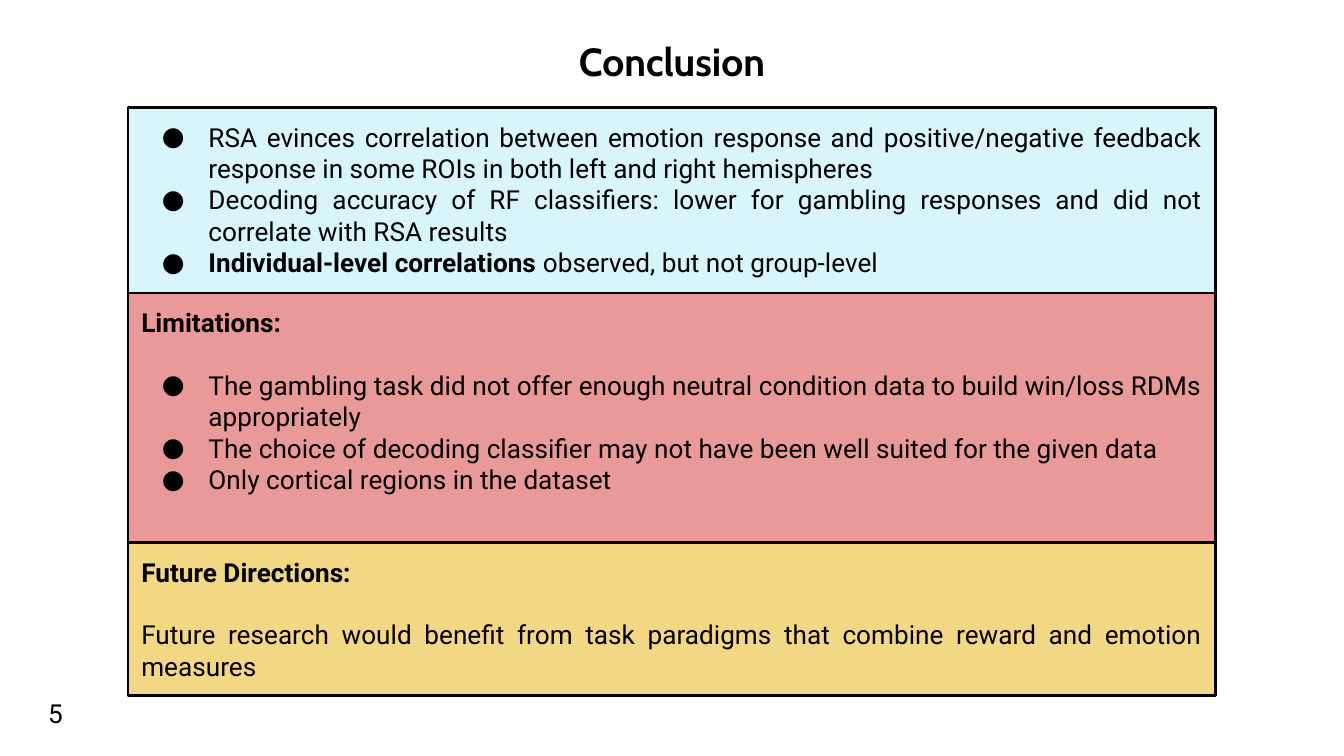
"""Build the conclusion slide with three stacked panels."""
from lxml.etree import SubElement
from pptx import Presentation
from pptx.dml.color import RGBColor
from pptx.enum.shapes import MSO_SHAPE
from pptx.enum.text import MSO_ANCHOR, PP_ALIGN
from pptx.oxml.ns import qn
from pptx.util import Pt

BLACK = "000000"
TITLE = "Conclusion"
PAGE_NUMBER = "5"
PANELS = [
    {
        "fill": "D8F5FC", "height": 99.4, "heading": None, "bulleted": True,
        "body": [
            [("RSA evinces correlation between emotion response and positive/negative feedback "
              "response in some ROIs in both left and right hemispheres", False)],
            [("Decoding accuracy of RF classifiers: lower for gambling responses and did not "
              "correlate with RSA results", False)],
            [("Individual-level correlations", True), (" observed, but not group-level", False)],
        ],
    },
    {
        "fill": "EA9999", "height": 133.7, "heading": "Limitations:", "bulleted": True,
        "body": [
            [("The gambling task did not offer enough neutral condition data to build win/loss "
              "RDMs appropriately", False)],
            [("The choice of decoding classifier may not have been well suited for the given data",
              False)],
            [("Only cortical regions in the dataset", False)],
        ],
    },
    {
        "fill": "F2D785", "height": 82.1, "heading": "Future Directions:", "bulleted": False,
        "body": [
            [("Future research would benefit from task paradigms that combine reward and emotion "
              "measures", False)],
        ],
    },
]
PANEL_LEFT, PANEL_TOP, PANEL_WIDTH = 68.6, 57.6, 582.5
HEADING_GAP = 16.8


def color(value):
    return RGBColor.from_string(value)


def prepare_frame(shape):
    frame = shape.text_frame
    frame.word_wrap = True
    frame.vertical_anchor = MSO_ANCHOR.TOP
    frame.margin_left = frame.margin_right = Pt(7.2)
    frame.margin_top = frame.margin_bottom = Pt(7.2)
    return frame


def add_runs(paragraph, runs, alignment, font="Roboto", size=14):
    paragraph.alignment = alignment
    for text, bold in runs:
        run = paragraph.add_run()
        run.text = text
        run.font.name = font
        run.font.size = Pt(size)
        run.font.bold = bold
        run.font.color.rgb = color(BLACK)


def add_bullet(paragraph):
    properties = paragraph._p.get_or_add_pPr()
    properties.set("marL", str(Pt(36)))
    properties.set("indent", str(Pt(-25)))
    bullet_color = SubElement(properties, qn("a:buClr"))
    SubElement(bullet_color, qn("a:srgbClr"), val=BLACK)
    SubElement(properties, qn("a:buFont"), typeface="Roboto")
    SubElement(properties, qn("a:buChar"), char="●")


def add_label(slide, box, text, alignment, **style):
    shape = slide.shapes.add_textbox(*map(Pt, box))
    bold = style.pop("bold", False)
    add_runs(prepare_frame(shape).paragraphs[0], [(text, bold)], alignment, **style)


def add_panel(slide, panel, top):
    shape = slide.shapes.add_shape(
        MSO_SHAPE.RECTANGLE, Pt(PANEL_LEFT), Pt(top), Pt(PANEL_WIDTH), Pt(panel["height"]))
    shape.shadow.inherit = False
    shape.fill.solid()
    shape.fill.fore_color.rgb = color(panel["fill"])
    shape.line.color.rgb = color(BLACK)
    shape.line.width = Pt(1.5)
    frame = prepare_frame(shape)
    paragraph = frame.paragraphs[0]
    if panel["heading"]:
        add_runs(paragraph, [(panel["heading"], True)], PP_ALIGN.JUSTIFY)
        paragraph.space_after = Pt(HEADING_GAP)
        paragraph = frame.add_paragraph()
    for index, runs in enumerate(panel["body"]):
        if index:
            paragraph = frame.add_paragraph()
        add_runs(paragraph, runs, PP_ALIGN.JUSTIFY)
        if panel["bulleted"]:
            add_bullet(paragraph)


def main():
    presentation = Presentation()
    presentation.slide_width, presentation.slide_height = Pt(720), Pt(405)
    slide = presentation.slides.add_slide(presentation.slide_layouts[6])
    add_label(slide, (24.5, 13, 671, 45.4), TITLE, PP_ALIGN.CENTER,
              font="Cabin", size=21, bold=True)
    top = PANEL_TOP
    for panel in PANELS:
        add_panel(slide, panel, top)
        top += panel["height"]
    add_label(slide, (18.7, 366.5, 22.3, 31.7), PAGE_NUMBER, PP_ALIGN.LEFT)
    presentation.save("out.pptx")


if __name__ == "__main__":
    main()
